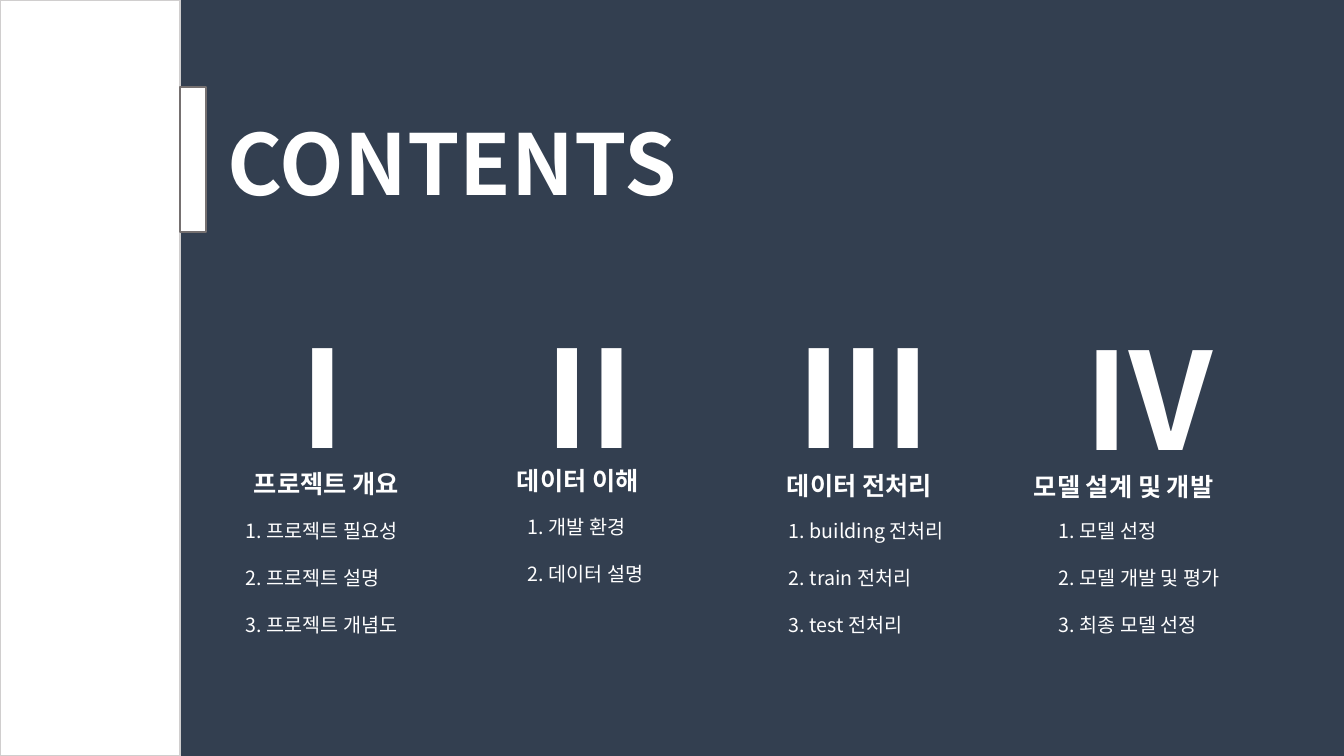
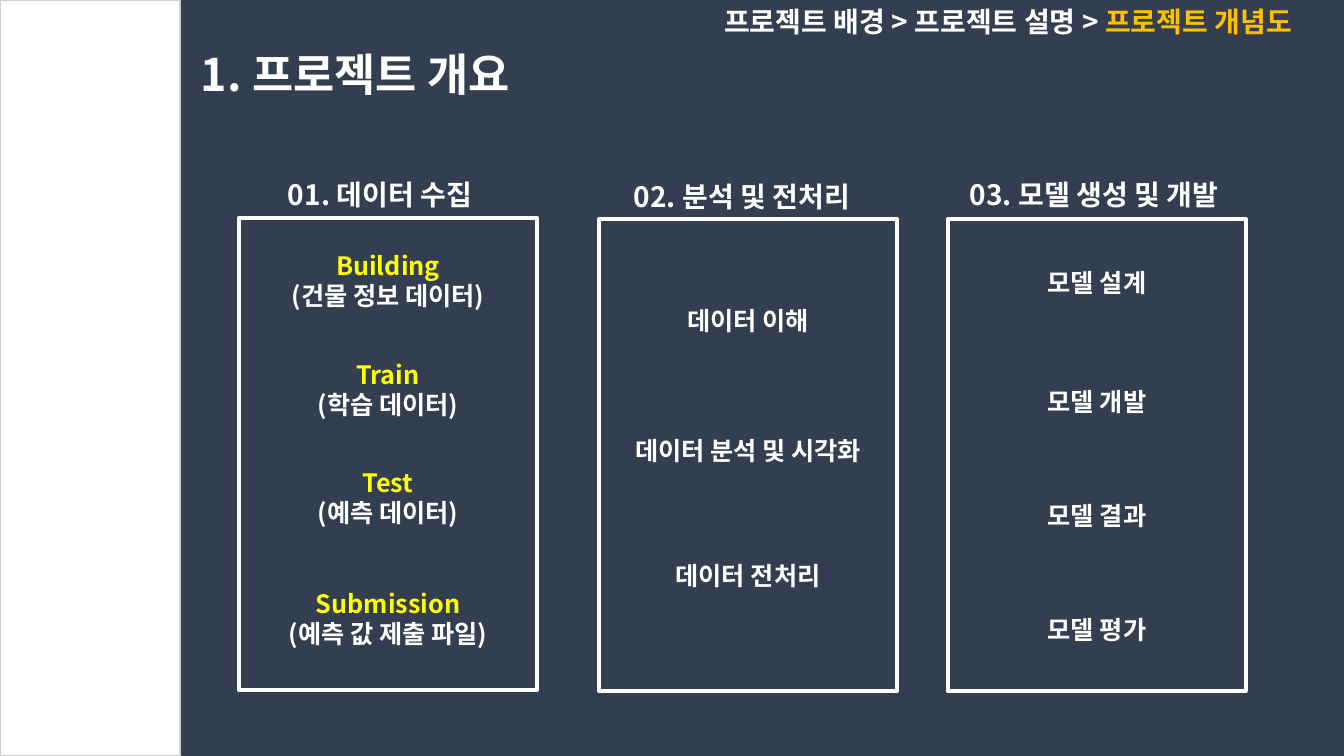
from lxml.etree import SubElement
from pptx import Presentation
from pptx.dml.color import RGBColor
from pptx.enum.shapes import MSO_SHAPE
from pptx.enum.text import PP_ALIGN
from pptx.oxml.ns import qn
from pptx.util import Emu, Pt

PX = 914400 / 100.8
SLIDE_W, SLIDE_H = 1344, 756
FONT = "Noto Sans CJK KR"

NAVY = RGBColor(0x33, 0x3F, 0x50)
WHITE = RGBColor(0xFF, 0xFF, 0xFF)
YELLOW = RGBColor(0xFF, 0xFF, 0x00)
GOLD = RGBColor(0xFF, 0xC0, 0x00)
LIGHT_GRAY = RGBColor(0xD0, 0xCE, 0xCE)
GRAY = RGBColor(0x75, 0x70, 0x70)

# numeral, its place, heading, its place, entries, their place (left, top, width)
CHAPTERS = [
    ("Ⅰ", (246, 309, 118), "프로젝트 개요", (244, 463, 183),
     ["1. 프로젝트 필요성", "2. 프로젝트 설명", "3. 프로젝트 개념도"], (236, 514, 206)),
    ("Ⅱ", (513, 309, 123), "데이터 이해", (507, 460, 183),
     ["1. 개발 환경", "2. 데이터 설명"], (518, 510, 194)),
    ("Ⅲ", (787, 309, 123), "데이터 전처리", (777, 465, 187),
     ["1. building 전처리", "2. train 전처리", "3. test 전처리"], (779, 514, 203)),
    ("Ⅳ", (1072, 311, 123), "모델 설계 및 개발", (1024, 466, 226),
     ["1. 모델 선정", "2. 모델 개발 및 평가", "3. 최종 모델 선정"], (1049, 514, 226)),
]

BREADCRUMB = [("프로젝트 배경 > 프로젝트 설명 > ", WHITE), ("프로젝트 개념도", GOLD)]

# heading, its left and top, frame left and top, items as (top, lines)
STAGES = [
    ("01. 데이터 수집", (231, 173), (239, 218), [
        (245, ["Building", "(건물 정보 데이터)"]),
        (354, ["Train", "(학습 데이터)"]),
        (462, ["Test", "(예측 데이터)"]),
        (583, ["Submission", "(예측 값 제출 파일)"])]),
    ("02. 분석 및 전처리", (593, 175), (599, 219), [
        (300, ["데이터 이해"]),
        (430, ["데이터 분석 및 시각화"]),
        (555, ["데이터 전처리"])]),
    ("03. 모델 생성 및 개발", (945, 173), (948, 219), [
        (262, ["모델 설계"]),
        (381, ["모델 개발"]),
        (495, ["모델 결과"]),
        (609, ["모델 평가"])]),
]
FRAME_W, FRAME_H = 298, 472


def px(*lengths):
    return [Emu(round(length * PX)) for length in lengths]


def add_rectangle(page, place, fill, line, line_width=1):
    box = page.shapes.add_shape(MSO_SHAPE.RECTANGLE, *px(*place))
    box.shadow.inherit = False
    box.fill.solid()
    box.fill.fore_color.rgb = fill
    box.line.color.rgb = line
    box.line.width = Pt(line_width)


def add_text(page, place, lines, size, bold=True, align=PP_ALIGN.LEFT, gap=0):
    """Write one paragraph per line; a line is a list of (text, colour) spans."""
    left, top, width = place
    height = len(lines) * (size * 1.68 + gap * 1.4) + 10
    frame = page.shapes.add_textbox(*px(left, top, width, height)).text_frame
    frame.word_wrap = True
    for index, spans in enumerate(lines):
        para = frame.add_paragraph() if index else frame.paragraphs[0]
        para.alignment = align
        para.space_before = Pt(gap if index else 0)
        font = para.font
        font.size, font.bold, font.name = Pt(size), bold, FONT
        for text, color in spans:
            span = para.add_run()
            span.text = text
            span.font.color.rgb = color
            span.font.name = FONT
            SubElement(span.font._element, qn("a:ea"), typeface=FONT)


def white(*lines):
    return [[(line, WHITE)] for line in lines]


def add_page(deck):
    page = deck.slides.add_slide(deck.slide_layouts[6])
    page.background.fill.solid()
    page.background.fill.fore_color.rgb = NAVY
    add_rectangle(page, (0, 0, 180, SLIDE_H), WHITE, LIGHT_GRAY)
    return page


def build_contents(deck):
    page = add_page(deck)
    add_text(page, (218, 107, 484), white("CONTENTS"), 60)
    add_rectangle(page, (180, 87, 26, 145), WHITE, GRAY)
    for numeral, numeral_at, heading, heading_at, entries, entries_at in CHAPTERS:
        add_text(page, numeral_at, white(numeral), 96)
        add_text(page, heading_at, white(heading), 18)
        add_text(page, entries_at, white(*entries), 14, bold=False, gap=16.8)


def build_overview(deck):
    page = add_page(deck)
    add_text(page, (191, 42, 368), white("1. 프로젝트 개요"), 32)
    add_text(page, (672, 0, 630), [BREADCRUMB], 20, align=PP_ALIGN.RIGHT)
    for heading, heading_at, (left, top), items in STAGES:
        add_text(page, (*heading_at, FRAME_W), white(heading), 20, align=PP_ALIGN.CENTER)
        add_rectangle(page, (left, top, FRAME_W, FRAME_H), NAVY, WHITE, 3)
        for item_top, lines in items:
            spans = white(*lines)
            if len(lines) > 1:
                spans[0] = [(lines[0], YELLOW)]
            add_text(page, (left, item_top, FRAME_W), spans, 18, align=PP_ALIGN.CENTER)


def main():
    deck = Presentation()
    deck.slide_width, deck.slide_height = px(SLIDE_W, SLIDE_H)
    build_contents(deck)
    build_overview(deck)
    deck.save("out.pptx")


if __name__ == "__main__":
    main()
